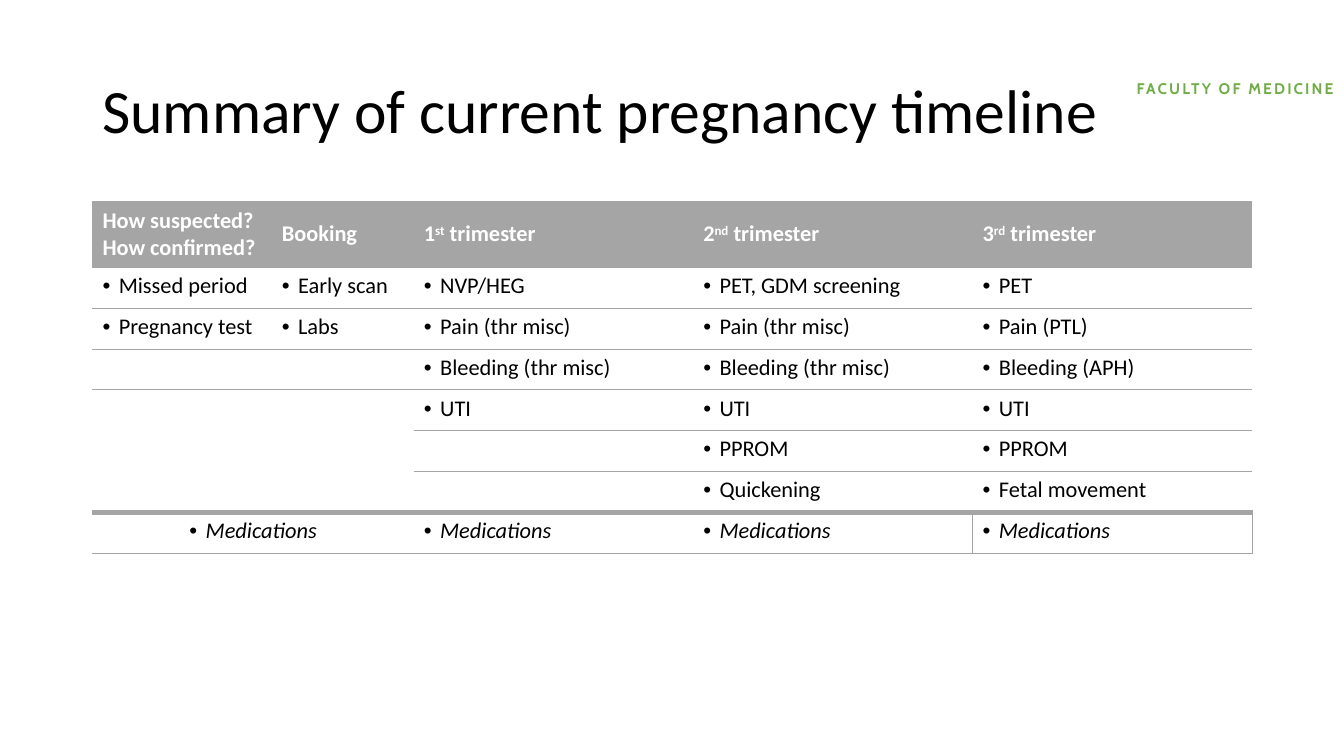
"""Build the pregnancy timeline summary slide."""
from lxml import etree
from pptx import Presentation
from pptx.dml.color import RGBColor
from pptx.enum.text import MSO_ANCHOR, PP_ALIGN
from pptx.oxml.ns import qn
from pptx.util import Cm, Pt

LEFT, CENTER = PP_ALIGN.LEFT, PP_ALIGN.CENTER
MIDDLE, TOP = MSO_ANCHOR.MIDDLE, MSO_ANCHOR.TOP

TITLE = "Summary of current pregnancy timeline"
FACULTY = "FACULTY OF MEDICINE"
STAGES = [
    {"heading": ["How suspected?", "How confirmed?"], "width": 4.52,
     "topics": ["Missed period", "Pregnancy test"]},
    {"heading": ["Booking"], "width": 3.58,
     "topics": ["Early scan", "Labs"]},
    {"heading": [("1", "st", " trimester")], "width": 7.04,
     "topics": ["NVP/HEG", "Pain (thr misc)", "Bleeding (thr misc)", "UTI"]},
    {"heading": [("2", "nd", " trimester")], "width": 7.04,
     "topics": ["PET, GDM screening", "Pain (thr misc)", "Bleeding (thr misc)",
                "UTI", "PPROM", "Quickening"]},
    {"heading": [("3", "rd", " trimester")], "width": 7.04,
     "topics": ["PET", "Pain (PTL)", "Bleeding (APH)", "UTI", "PPROM",
                "Fetal movement"]},
]
CLOSING = "Medications"

THEME = {
    "font": "Calibri", "label_font": "Cabin",
    "black": RGBColor(0, 0, 0), "white": RGBColor(255, 255, 255),
    "grey": RGBColor(0xA5, 0xA5, 0xA5), "green": RGBColor(0x70, 0xAD, 0x47),
    "title": 44, "body": 16, "label": 11,
    "thin": 0.5, "thick": 4,
    "plain_table": "{2D5ABB26-0587-4C30-8999-92F81FD0307C}",
}
HEADING_HEIGHT, TOPIC_HEIGHT = 1.65, 1.03
TABLE_LEFT, TABLE_TOP = 2.33, 5.08
TOPIC_ROWS = max(len(stage["topics"]) for stage in STAGES)
CLOSING_ROW = TOPIC_ROWS + 1


def style(paragraph, size, color, font=THEME["font"], bold=False, italic=False):
    paragraph.font.size = Pt(size)
    paragraph.font.name = font
    paragraph.font.bold = bold
    paragraph.font.italic = italic
    paragraph.font.color.rgb = color


def add_text(slide, text, left, top, width, height):
    frame = slide.shapes.add_textbox(Cm(left), Cm(top), Cm(width), Cm(height)).text_frame
    frame.vertical_anchor = MIDDLE
    frame.paragraphs[0].add_run().text = text
    return frame, frame.paragraphs[0]


def write_heading(cell, lines):
    cell.vertical_anchor = MIDDLE
    for number, line in enumerate(lines):
        paragraph = cell.text_frame.paragraphs[0] if number == 0 else cell.text_frame.add_paragraph()
        parts = (line,) if isinstance(line, str) else line
        for position, part in enumerate(parts):
            run = paragraph.add_run()
            run.text = part
            if position == 1:
                run.font._element.set("baseline", "30000")
        style(paragraph, THEME["body"], THEME["white"], bold=True)


def write_topic(cell, text, align=LEFT, italic=False):
    cell.vertical_anchor = TOP
    paragraph = cell.text_frame.paragraphs[0]
    paragraph.text = text
    paragraph.alignment = align
    properties = paragraph._p.get_or_add_pPr()
    properties.set("marL", str(Cm(0.41)))
    properties.set("indent", str(-Cm(0.41)))
    etree.SubElement(properties, qn("a:buFont"), typeface="Arial")
    etree.SubElement(properties, qn("a:buChar"), char="•")
    style(paragraph, THEME["body"], THEME["black"], italic=italic)


def add_border(cell, side, weight):
    line = etree.SubElement(cell._tc.get_or_add_tcPr(), qn(f"a:ln{side}"), w=str(Pt(weight)))
    fill = etree.SubElement(line, qn("a:solidFill"))
    etree.SubElement(fill, qn("a:srgbClr"), val=str(THEME["grey"]))


def rule_below(row, column):
    if row == TOPIC_ROWS:
        return THEME["thick"]
    if row == CLOSING_ROW or row <= len(STAGES[column]["topics"]):
        return THEME["thin"]
    return None


def finish_cell(cell, row, column):
    last_column = len(STAGES) - 1
    if row == CLOSING_ROW and column == last_column:
        add_border(cell, "L", THEME["thin"])
    if row == CLOSING_ROW and column == last_column - 1:
        add_border(cell, "R", THEME["thin"])
    for side, edge in (("T", max(row - 1, 0)), ("B", row)):
        weight = rule_below(edge, column)
        if weight:
            add_border(cell, side, weight)
    if row == 0:
        cell.fill.solid()
        cell.fill.fore_color.rgb = THEME["grey"]
    else:
        cell.fill.background()


def add_timeline(slide):
    width = sum(stage["width"] for stage in STAGES)
    height = HEADING_HEIGHT + CLOSING_ROW * TOPIC_HEIGHT
    table = slide.shapes.add_table(CLOSING_ROW + 1, len(STAGES), Cm(TABLE_LEFT),
                                   Cm(TABLE_TOP), Cm(width), Cm(height)).table
    table.horz_banding = False
    table._tbl.tblPr.find(qn("a:tableStyleId")).text = THEME["plain_table"]
    for row, table_row in enumerate(table.rows):
        table_row.height = Cm(TOPIC_HEIGHT if row else HEADING_HEIGHT)
    table.cell(CLOSING_ROW, 0).merge(table.cell(CLOSING_ROW, 1))
    for column, stage in enumerate(STAGES):
        table.columns[column].width = Cm(stage["width"])
        write_heading(table.cell(0, column), stage["heading"])
        for row, topic in enumerate(stage["topics"], 1):
            write_topic(table.cell(row, column), topic)
        closing = table.cell(CLOSING_ROW, column)
        if not closing.is_spanned:
            write_topic(closing, CLOSING, LEFT if column else CENTER, italic=True)
        for row in range(CLOSING_ROW + 1):
            finish_cell(table.cell(row, column), row, column)


def main():
    deck = Presentation()
    deck.slide_width, deck.slide_height = Cm(33.87), Cm(19.05)
    slide = deck.slides.add_slide(deck.slide_layouts[6])

    frame, faculty = add_text(slide, FACULTY, 28.58, 1.97, 5.1, 0.51)
    frame.margin_left = frame.margin_right = 0
    frame.word_wrap = False
    faculty.alignment = CENTER
    faculty.runs[0].font._element.set("spc", "150")
    style(faculty, THEME["label"], THEME["green"], THEME["label_font"], bold=True)

    frame, title = add_text(slide, TITLE, 2.33, 1.01, 29.21, 3.68)
    frame.word_wrap = True
    title.line_spacing = 0.9
    style(title, THEME["title"], THEME["black"])

    add_timeline(slide)
    deck.save("out.pptx")


if __name__ == "__main__":
    main()
